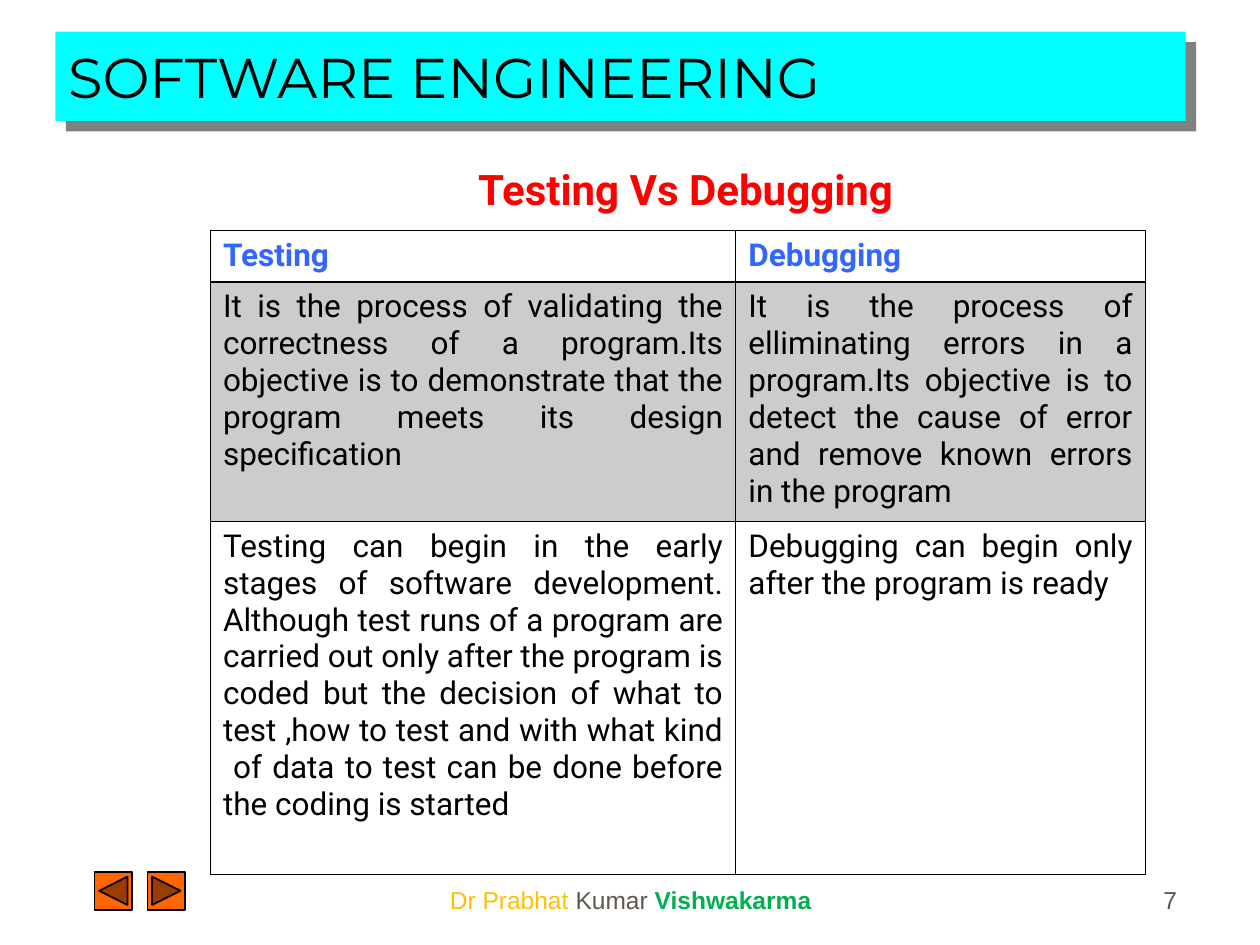
from lxml import etree
from pptx import Presentation
from pptx.dml.color import RGBColor
from pptx.enum.shapes import MSO_SHAPE
from pptx.enum.text import MSO_ANCHOR, PP_ALIGN
from pptx.oxml.ns import qn
from pptx.util import Inches, Pt

BACK_BUTTON = MSO_SHAPE.ACTION_BUTTON_BACK_OR_PREVIOUS
NEXT_BUTTON = MSO_SHAPE.ACTION_BUTTON_FORWARD_OR_NEXT
TOP, MIDDLE, BOTTOM = MSO_ANCHOR.TOP, MSO_ANCHOR.MIDDLE, MSO_ANCHOR.BOTTOM
LEFT, CENTER, RIGHT = PP_ALIGN.LEFT, PP_ALIGN.CENTER, PP_ALIGN.RIGHT
JUSTIFY = PP_ALIGN.JUSTIFY

BLACK, GREY, RED, BLUE = "000000", "5E574E", "FF0000", "3366FF"
HAIRLINE, HEADER_LINE = 0.45, 0.96

COLUMN_WIDTHS = [4.17, 3.25]
ROW_HEIGHTS = [0.41, 1.9, 2.8]
COMPARISON = [
    ["Testing", "Debugging"],
    [
        "It is the process of validating the correctness of a program.Its "
        "objective is to demonstrate that the program meets its design "
        "specification",
        "It is the process of elliminating errors in a program.Its objective "
        "is to detect the cause of error and remove known errors in the program",
    ],
    [
        "Testing can begin in the early stages of software development. "
        "Although test runs of a program are carried out only after the "
        "program is coded but the decision of what to test ,how to test and "
        "with what kind  of data to test can be done before the coding is "
        "started ",
        "Debugging can begin only after the program is ready",
    ],
]


def rgb(color):
    return RGBColor.from_string(color)


def style_run(run, font, size, color, bold=False):
    run.font.name = font
    run.font.size = Pt(size)
    run.font.color.rgb = rgb(color)
    run.font.bold = bold


def add_title(slide, text):
    title = slide.shapes.title
    title.left, title.top = Inches(0.44), Inches(0.25)
    title.width, title.height = Inches(8.97), Inches(0.71)
    title.fill.solid()
    title.fill.fore_color.rgb = rgb("00FFFF")
    frame = title.text_frame
    frame.text = text
    frame.vertical_anchor = MIDDLE
    frame.paragraphs[0].alignment = LEFT
    style_run(frame.paragraphs[0].runs[0], "Montserrat", 32, BLACK)
    effects = etree.SubElement(title.element.spPr, qn("a:effectLst"))
    shadow = etree.SubElement(
        effects, qn("a:outerShdw"), dist=str(Pt(8.5)), dir="2700000",
        algn="ctr", rotWithShape="0")
    etree.SubElement(shadow, qn("a:srgbClr"), val="808080")


def add_text(slide, box, parts, font, size, align, anchor, space_before):
    text_box = slide.shapes.add_textbox(*map(Inches, box))
    frame = text_box.text_frame
    frame.word_wrap = True
    frame.vertical_anchor = anchor
    paragraph = frame.paragraphs[0]
    paragraph.alignment = align
    paragraph.space_before = Pt(space_before)
    for text, color, bold in parts:
        run = paragraph.add_run()
        run.text = text
        style_run(run, font, size, color, bold)


def add_nav_button(slide, kind, left):
    button = slide.shapes.add_shape(
        kind, Inches(left), Inches(6.92), Inches(0.3), Inches(0.3))
    button.shadow.inherit = False
    button.fill.solid()
    button.fill.fore_color.rgb = rgb("FF6600")
    button.line.color.rgb = rgb(BLACK)
    button.line.width = Pt(1)


def set_borders(cell, top, bottom):
    widths = {"a:lnL": HAIRLINE, "a:lnR": HAIRLINE, "a:lnT": top, "a:lnB": bottom}
    properties = cell._tc.get_or_add_tcPr()
    for position, (tag, width) in enumerate(widths.items()):
        border = etree.Element(qn(tag), w=str(Pt(width)))
        fill = etree.SubElement(border, qn("a:solidFill"))
        etree.SubElement(fill, qn("a:srgbClr"), val=BLACK)
        properties.insert(position, border)


def shade_cell(cell, opacity):
    cell.fill.solid()
    cell.fill.fore_color.rgb = rgb(BLACK)
    color = cell._tc.tcPr.find(qn("a:solidFill")).find(qn("a:srgbClr"))
    etree.SubElement(color, qn("a:alpha"), val=str(opacity * 1000))


def add_comparison(slide):
    table = slide.shapes.add_table(
        len(ROW_HEIGHTS), len(COLUMN_WIDTHS), Inches(1.67), Inches(1.83),
        Inches(sum(COLUMN_WIDTHS)), Inches(sum(ROW_HEIGHTS))).table
    table.first_row = False
    table.horz_banding = False
    for column, width in zip(table.columns, COLUMN_WIDTHS):
        column.width = Inches(width)
    for index, (row, height) in enumerate(zip(table.rows, ROW_HEIGHTS)):
        row.height = Inches(height)
        header = index == 0
        for cell, text in zip(row.cells, COMPARISON[index]):
            cell.text_frame.text = text
            paragraph = cell.text_frame.paragraphs[0]
            paragraph.alignment = JUSTIFY
            style_run(paragraph.runs[0], "Roboto", 18,
                      BLUE if header else BLACK, header)
            if index == 1:
                shade_cell(cell, 20)
            else:
                cell.fill.background()
            set_borders(cell, HEADER_LINE if index == 1 else HAIRLINE,
                        HEADER_LINE if header else HAIRLINE)


def main():
    presentation = Presentation()
    presentation.slide_width = Inches(10)
    presentation.slide_height = Inches(7.5)
    slide = presentation.slides.add_slide(presentation.slide_layouts[5])

    add_nav_button(slide, BACK_BUTTON, 0.75)
    add_nav_button(slide, NEXT_BUTTON, 1.17)
    author = [("Dr Prabhat ", "FFC000", False), ("Kumar", GREY, False),
              (" Vishwakarma", "00B050", True)]
    add_text(slide, (3.42, 6.75, 3.17, 0.56), author, "Arial", 14,
             CENTER, BOTTOM, 8.8)
    add_text(slide, (7.36, 6.81, 2.08, 0.5), [("7", GREY, False)], "Arial", 14,
             RIGHT, BOTTOM, 8.8)
    add_title(slide, "SOFTWARE ENGINEERING")
    heading = [(" ", BLACK, False), ("Testing Vs Debugging", RED, True)]
    add_text(slide, (2, 1.25, 6.8, 0.5), heading, "Roboto", 24, CENTER, TOP, 6)
    add_comparison(slide)

    presentation.save("out.pptx")


if __name__ == "__main__":
    main()
